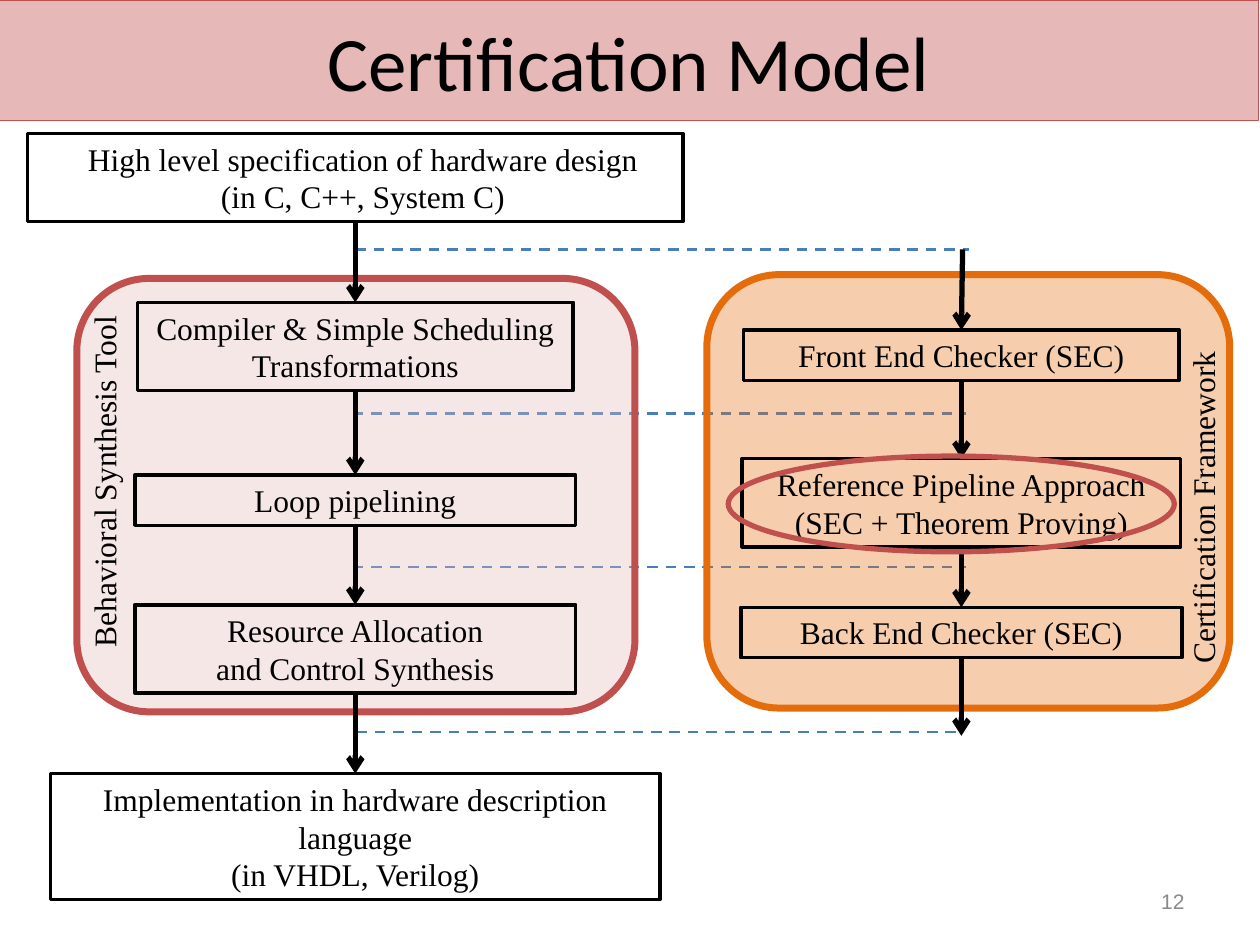
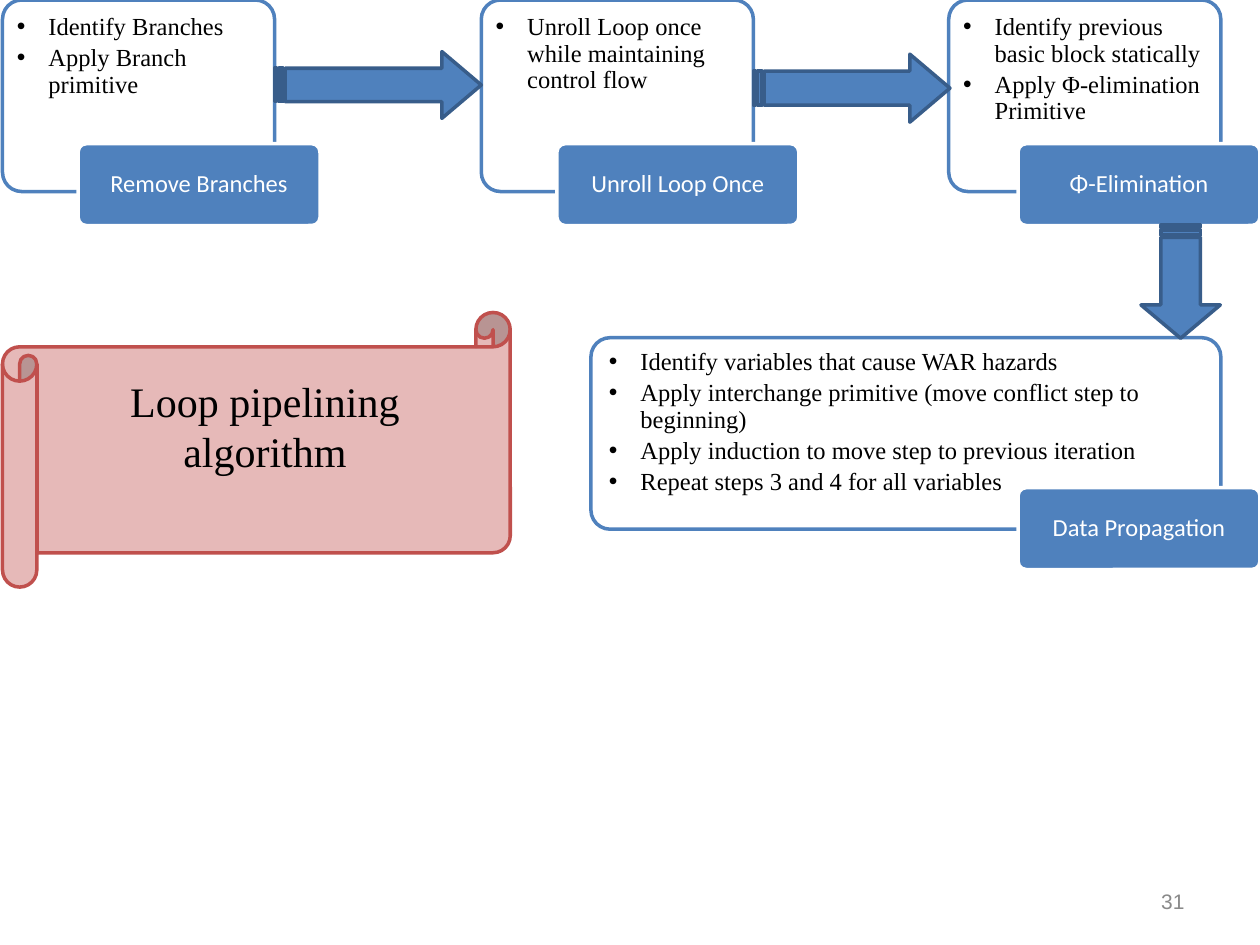
from dataclasses import dataclass

from lxml import etree
from pptx import Presentation
from pptx import util as u
from pptx.dml.color import RGBColor
from pptx.enum import dml, shapes, text
from pptx.oxml.ns import qn

# Shared scale, colours and fonts
EMU_PER_PX = 9144
BLACK, WHITE, GREY = "000000", "FFFFFF", "898989"
PINK, RED, ORANGE = "E6B9B8", "C0504D", "E46C0A"
BLUE, DARK_BLUE, DASH_BLUE = "4F81BD", "385D8A", "4A7EBB"
SERIF, SANS, NUMBER_FONT = "Times New Roman", "Calibri", "Arial"
MARGINS = (10, 5, 10, 5)
TOP, BOTTOM = 0, 2
Shape, Align, Anchor = shapes.MSO_SHAPE, text.PP_ALIGN, text.MSO_ANCHOR


@dataclass(frozen=True)
class Rect:
    left: int
    top: int
    width: int
    height: int

    def emu(self) -> list:
        return [px(v) for v in (self.left, self.top, self.width, self.height)]


@dataclass(frozen=True)
class TextStyle:
    font: str = SERIF
    size: int = 18
    color: str = BLACK
    align: Align = Align.CENTER
    anchor: Anchor = Anchor.TOP
    bullet: bool = False
    spacing: float = 1.0
    after: float = 0


@dataclass(frozen=True)
class Step:
    top: int
    width: int
    height: int
    lines: tuple
    margins: tuple = MARGINS


@dataclass(frozen=True)
class Card:
    box: Rect
    bullets: tuple
    tag_left: int
    tag_top: int
    tag: str
    margins: tuple = (7, 7, 7, 63)


@dataclass(frozen=True)
class BlockArrow:
    box: Rect
    head: float
    rotation: int = 0


TITLE = TextStyle(SANS, 44, anchor=Anchor.MIDDLE)
NUMBER = TextStyle(NUMBER_FONT, 12, GREY, Align.RIGHT, Anchor.MIDDLE)
STEP = TextStyle()
SIDE_LABEL = TextStyle(align=Align.LEFT)
BULLETS = TextStyle(size=14, align=Align.LEFT, bullet=True, spacing=0.9, after=2.6)
TAG = TextStyle(SANS, 14, WHITE, anchor=Anchor.MIDDLE, spacing=0.9)
SCROLL = TextStyle(size=24, anchor=Anchor.MIDDLE)


def px(value: int) -> u.Emu:
    return u.Emu(value * EMU_PER_PX)


def rgb(value: str) -> RGBColor:
    return RGBColor.from_string(value)


def add_bullet(paragraph) -> None:
    properties = paragraph._p.get_or_add_pPr()
    properties.set("marL", str(px(25)))
    properties.set("indent", str(-px(25)))
    color = etree.SubElement(properties, qn("a:buClr"))
    etree.SubElement(color, qn("a:srgbClr")).set("val", BLACK)
    etree.SubElement(properties, qn("a:buFont")).set("typeface", NUMBER_FONT)
    etree.SubElement(properties, qn("a:buChar")).set("char", "•")


def write(shape, lines: tuple, style: TextStyle, margins: tuple = MARGINS) -> None:
    frame = shape.text_frame
    frame.word_wrap = True
    frame.vertical_anchor = style.anchor
    (frame.margin_left, frame.margin_top,
     frame.margin_right, frame.margin_bottom) = map(px, margins)
    for index, line in enumerate(lines):
        paragraph = frame.add_paragraph() if index else frame.paragraphs[0]
        if style.bullet:
            add_bullet(paragraph)
        paragraph.alignment = style.align
        paragraph.line_spacing = style.spacing
        paragraph.space_after = u.Pt(style.after)
        run = paragraph.add_run()
        run.text = line
        run.font.name = style.font
        run.font.size = u.Pt(style.size)
        run.font.color.rgb = rgb(style.color)


def add_box(slide, kind: Shape, rect: Rect, line: str, weight: float,
            fill: str = "", alpha: int = 100, adjustments: tuple = ()):
    shape = slide.shapes.add_shape(kind, *rect.emu())
    shape.shadow.inherit = False
    for index, value in enumerate(adjustments):
        shape.adjustments[index] = value
    shape.line.color.rgb = rgb(line)
    shape.line.width = u.Pt(weight)
    if not fill:
        shape.fill.background()
        return shape
    shape.fill.solid()
    shape.fill.fore_color.rgb = rgb(fill)
    if alpha < 100:
        color = shape.element.spPr.find(qn("a:solidFill"))[0]
        etree.SubElement(color, qn("a:alpha")).set("val", str(alpha * 1000))
    return shape


def add_text(slide, rect: Rect, line: str, style: TextStyle, rotation: int = 0) -> None:
    shape = slide.shapes.add_textbox(*rect.emu())
    shape.rotation = rotation
    write(shape, (line,), style)


def add_line(slide, start: tuple, end: tuple, color: str, weight: float):
    connector = slide.shapes.add_connector(
        shapes.MSO_CONNECTOR.STRAIGHT, *map(px, start + end))
    connector.line.color.rgb = rgb(color)
    connector.line.width = u.Pt(weight)
    etree.SubElement(connector.element.spPr, qn("a:effectLst"))
    return connector


def add_arrow(slide, start: tuple, end: tuple, source=None, target=None) -> None:
    connector = add_line(slide, start, end, BLACK, 3)
    if source is not None:
        connector.begin_connect(source, BOTTOM)
    if target is not None:
        connector.end_connect(target, TOP)
    outline = connector.line._get_or_add_ln()
    etree.SubElement(outline, qn("a:tailEnd")).set("type", "arrow")


def add_slide(presentation, number: int):
    slide = presentation.slides.add_slide(presentation.slide_layouts[6])
    add_text(slide, Rect(717, 695, 233, 40), str(number), NUMBER)
    return slide


def add_steps(slide, center: int, steps: tuple) -> list:
    """Stack boxes on one axis and join each to the next."""
    boxes = []
    for step in steps:
        rect = Rect(center - step.width // 2, step.top, step.width, step.height)
        box = add_box(slide, Shape.RECTANGLE, rect, BLACK, 2)
        write(box, step.lines, STEP, step.margins)
        boxes.append(box)
    for index in range(len(boxes) - 1):
        upper, lower = steps[index:index + 2]
        add_arrow(slide, (center, upper.top + upper.height), (center, lower.top),
                  boxes[index], boxes[index + 1])
    return boxes


def build_certification_model(presentation) -> None:
    slide = add_slide(presentation, 12)
    title = add_box(slide, Shape.RECTANGLE, Rect(-1, 0, 1000, 96), RED, 0.75, PINK)
    write(title, ("Certification Model",), TITLE)

    # Dashed links between the two flows
    for left, right, y in ((282, 769, 198), (280, 767, 328),
                           (280, 767, 450), (283, 762, 581)):
        link = add_line(slide, (left, y), (right, y), DASH_BLUE, 1.5)
        link.line.dash_style = dml.MSO_LINE.DASH

    # Panels
    for rect, line, fill in ((Rect(61, 221, 443, 344), RED, PINK),
                             (Rect(561, 218, 415, 344), ORANGE, ORANGE)):
        add_box(slide, Shape.ROUNDED_RECTANGLE, rect, line, 4, fill, 33, (0.167,))

    # Synthesis flow
    add_steps(slide, 282, (
        Step(106, 520, 70, ("High level specification of hardware design",
                            "(in C, C++, System C)"), (22, 5, 10, 5)),
        Step(240, 346, 70, ("Compiler & Simple Scheduling Transformations",)),
        Step(377, 350, 40, ("Loop pipelining",)),
        Step(480, 350, 70, ("Resource Allocation", "and Control Synthesis")),
        Step(614, 484, 100, ("Implementation in hardware description language",
                             "(in VHDL, Verilog)")),
    ))

    # Checking flow
    checkers = add_steps(slide, 763, (
        Step(262, 346, 40, ("Front End Checker (SEC)",)),
        Step(364, 348, 70, ("Reference Pipeline Approach", "(SEC + Theorem Proving)")),
        Step(482, 350, 40, ("Back End Checker (SEC)",)),
    ))
    add_arrow(slide, (764, 198), (763, 262), target=checkers[0])
    add_arrow(slide, (763, 522), (763, 584), source=checkers[-1])

    # Side labels and highlight
    add_text(slide, Rect(-78, 343, 321, 40), "Behavioral Synthesis Tool", SIDE_LABEL, 270)
    add_text(slide, Rect(794, 356, 321, 40), "Certification Framework", SIDE_LABEL, 270)
    add_box(slide, Shape.OVAL, Rect(578, 362, 354, 76), RED, 3)


def build_pipelining_algorithm(presentation) -> None:
    slide = add_slide(presentation, 31)

    # Cards with their name tags
    cards = (
        Card(Rect(2, 0, 216, 152), ("Identify Branches", "Apply Branch primitive"),
             62, 114, "Remove Branches"),
        Card(Rect(469, 268, 500, 152),
             ("Identify variables that cause WAR hazards",
              "Apply interchange primitive (move conflict step to beginning)",
              "Apply induction to move step to previous iteration",
              "Repeat steps 3 and 4 for all variables"),
             808, 387, "Data Propagation", (10, 5, 10, 30)),
        Card(Rect(382, 0, 216, 152), ("Unroll Loop once while maintaining control flow",),
             442, 114, "Unroll Loop Once"),
        Card(Rect(753, 0, 216, 152),
             ("Identify previous basic block statically", "Apply Φ-elimination Primitive"),
             808, 114, "Φ-Elimination"),
    )
    for card in cards:
        body = add_box(slide, Shape.ROUNDED_RECTANGLE, card.box, BLUE, 2, WHITE, 90, (0.1,))
        write(body, card.bullets, BULLETS, card.margins)
        tag = add_box(slide, Shape.ROUNDED_RECTANGLE,
                      Rect(card.tag_left, card.tag_top, 192, 65), WHITE, 2, BLUE,
                      adjustments=(0.1,))
        write(tag, (card.tag,), TAG, (8, 6, 8, 6))

    # Arrows from card to card
    for arrow in (BlockArrow(Rect(218, 41, 164, 53), 0.59),
                  BlockArrow(Rect(598, 43, 156, 54), 0.59),
                  BlockArrow(Rect(892, 192, 90, 63), 0.42, 90)):
        shape = add_box(slide, Shape.STRIPED_RIGHT_ARROW, arrow.box, DARK_BLUE, 2, BLUE,
                        adjustments=(0.5, arrow.head))
        shape.rotation = arrow.rotation

    # Scroll with the name of the algorithm
    scroll = add_box(slide, Shape.HORIZONTAL_SCROLL, Rect(2, 248, 403, 218), RED, 2, PINK,
                     adjustments=(0.125,))
    write(scroll, ("Loop pipelining algorithm",), SCROLL, (10, 5, 10, 43))


def main() -> None:
    presentation = Presentation()
    presentation.slide_width, presentation.slide_height = px(1000), px(750)
    build_certification_model(presentation)
    build_pipelining_algorithm(presentation)
    presentation.save("out.pptx")


if __name__ == "__main__":
    main()
